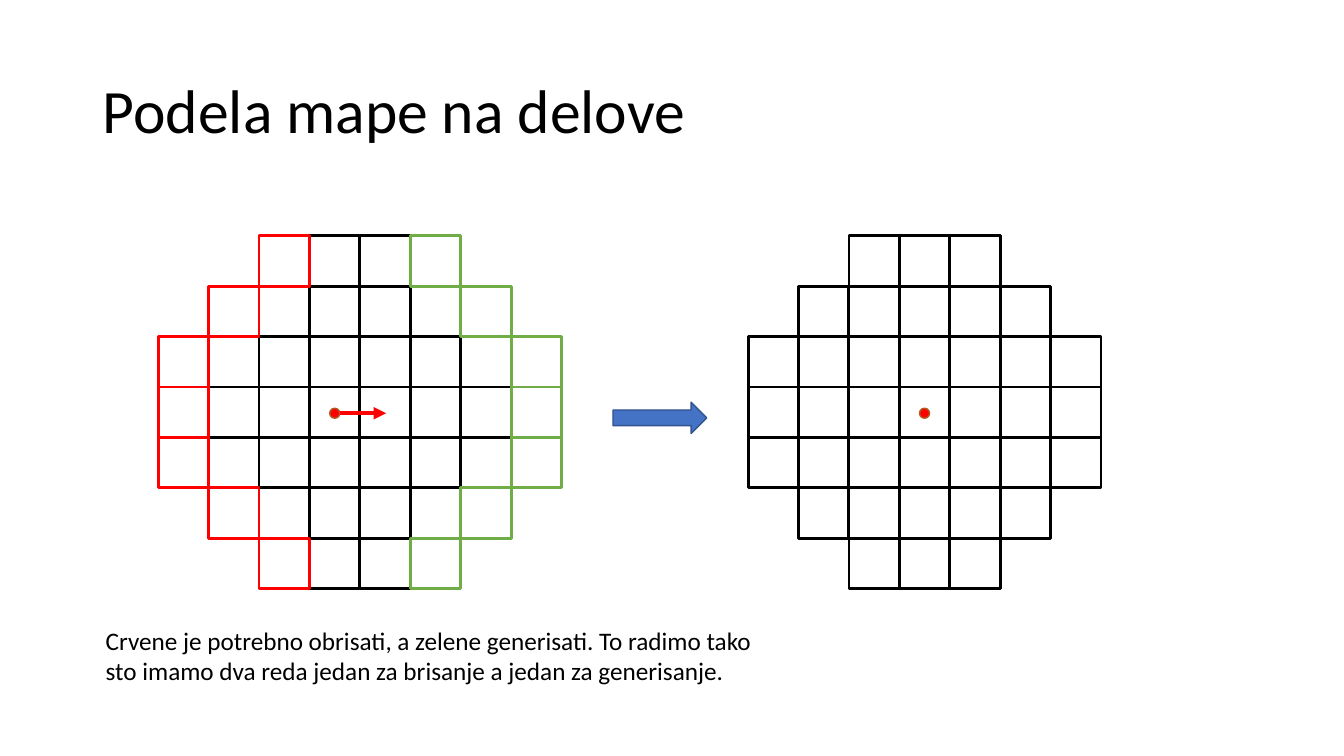
from lxml import etree
from pptx import Presentation
from pptx.dml.color import RGBColor
from pptx.enum.shapes import MSO_CONNECTOR, MSO_SHAPE
from pptx.enum.text import MSO_ANCHOR, MSO_AUTO_SIZE, PP_ALIGN
from pptx.oxml.ns import qn
from pptx.util import Pt

RECTANGLE = MSO_SHAPE.RECTANGLE
OVAL = MSO_SHAPE.OVAL
RIGHT_ARROW = MSO_SHAPE.RIGHT_ARROW
STRAIGHT = MSO_CONNECTOR.STRAIGHT
MIDDLE = MSO_ANCHOR.MIDDLE
TOP = MSO_ANCHOR.TOP
LEFT = PP_ALIGN.LEFT
FIXED = MSO_AUTO_SIZE.NONE
GROW = MSO_AUTO_SIZE.SHAPE_TO_FIT_TEXT

EMU_PER_PX = 9144
TITLE_ONLY = 5
CELL = 50
BLACK, RED, GREEN, WHITE = "000000", "FF0000", "70AD47", "FFFFFF"
BLUE, DARK_BLUE, BROWN = "4472C4", "325491", "AF5C24"

CELL_STYLES = {"K": (BLACK, None), "R": (RED, None), "G": (GREEN, WHITE)}
MAP_BEFORE = ["..RKKG..", ".RKKKKG.", *["RKKKKKKG"] * 3, ".RKKKKG.", "..RKKG.."]
MAP_AFTER = ["..KKK..", ".KKKKK.", *["KKKKKKK"] * 3, ".KKKKK.", "..KKK.."]


def px(length):
    return length * EMU_PER_PX


def colour(value):
    return RGBColor.from_string(value)


def write(box, text, size, anchor=TOP, fit=FIXED, spacing=None):
    frame = box.text_frame
    frame.word_wrap = True
    frame.auto_size = fit
    frame.vertical_anchor = anchor
    para = frame.paragraphs[0]
    para.alignment = LEFT
    para.line_spacing = spacing
    span = para.add_run()
    span.text = text
    span.font.name = "Calibri"
    span.font.size = Pt(size)
    span.font.color.rgb = colour(BLACK)


class MapSlide:
    """Draws the elements of the map slide in one style."""

    def __init__(self, deck):
        self.page = deck.slides.add_slide(deck.slide_layouts[TITLE_ONLY])

    def title(self, text, left, top, width, height):
        box = self.page.shapes.title
        box.left, box.top, box.width, box.height = map(px, (left, top, width, height))
        write(box, text, 44, anchor=MIDDLE, spacing=0.9)

    def caption(self, text, left, top, width, height):
        box = self.page.shapes.add_textbox(*map(px, (left, top, width, height)))
        write(box, text, 18, fit=GROW)

    def shape(self, kind, left, top, width, height, line, weight, fill=None, parent=None):
        shapes = (parent or self.page).shapes
        shape = shapes.add_shape(kind, *map(px, (left, top, width, height)))
        shape.shadow.inherit = False
        shape.line.color.rgb = colour(line)
        shape.line.width = Pt(weight)
        if fill:
            shape.fill.solid()
            shape.fill.fore_color.rgb = colour(fill)
        else:
            shape.fill.background()

    def cells(self, rows, kind, left, top, parent=None):
        line, fill = CELL_STYLES[kind]
        for row, marks in enumerate(rows):
            for column, mark in enumerate(marks):
                if mark == kind:
                    self.shape(RECTANGLE, left + column * CELL, top + row * CELL,
                               CELL, CELL, line, 2, fill, parent)

    def dot(self, left, top, parent=None):
        self.shape(OVAL, left, top, 10, 10, BROWN, 1, RED, parent)

    def arrow(self, left, right, y):
        arrow = self.page.shapes.add_connector(STRAIGHT, *map(px, (left, y, right, y)))
        arrow.line.color.rgb = colour(RED)
        arrow.line.width = Pt(3)
        properties = arrow.line._get_or_add_ln()
        etree.SubElement(properties, qn("a:tailEnd"), type="triangle")
        etree.SubElement(arrow._element.spPr, qn("a:effectLst"))


def main():
    deck = Presentation()
    deck.slide_width, deck.slide_height = px(1333), px(750)
    slide = MapSlide(deck)
    slide.title("Podela mape na delove", 92, 40, 1150, 145)

    slide.cells(MAP_BEFORE, "K", 157, 234)
    slide.cells(MAP_BEFORE, "R", 157, 234)
    slide.dot(327, 405)
    slide.cells(MAP_BEFORE, "G", 157, 234)
    slide.arrow(337, 383, 410)

    map_after = slide.page.shapes.add_group_shape()
    slide.cells(MAP_AFTER, "K", 742, 234, map_after)
    slide.dot(912, 405, map_after)

    slide.shape(RIGHT_ARROW, 608, 399, 93, 31, DARK_BLUE, 1, BLUE)
    slide.caption("Crvene je potrebno obrisati, a zelene generisati. To radimo tako "
                  "sto imamo dva reda jedan za brisanje a jedan za generisanje.",
                  95, 615, 674, 71)
    deck.save("out.pptx")


if __name__ == "__main__":
    main()
